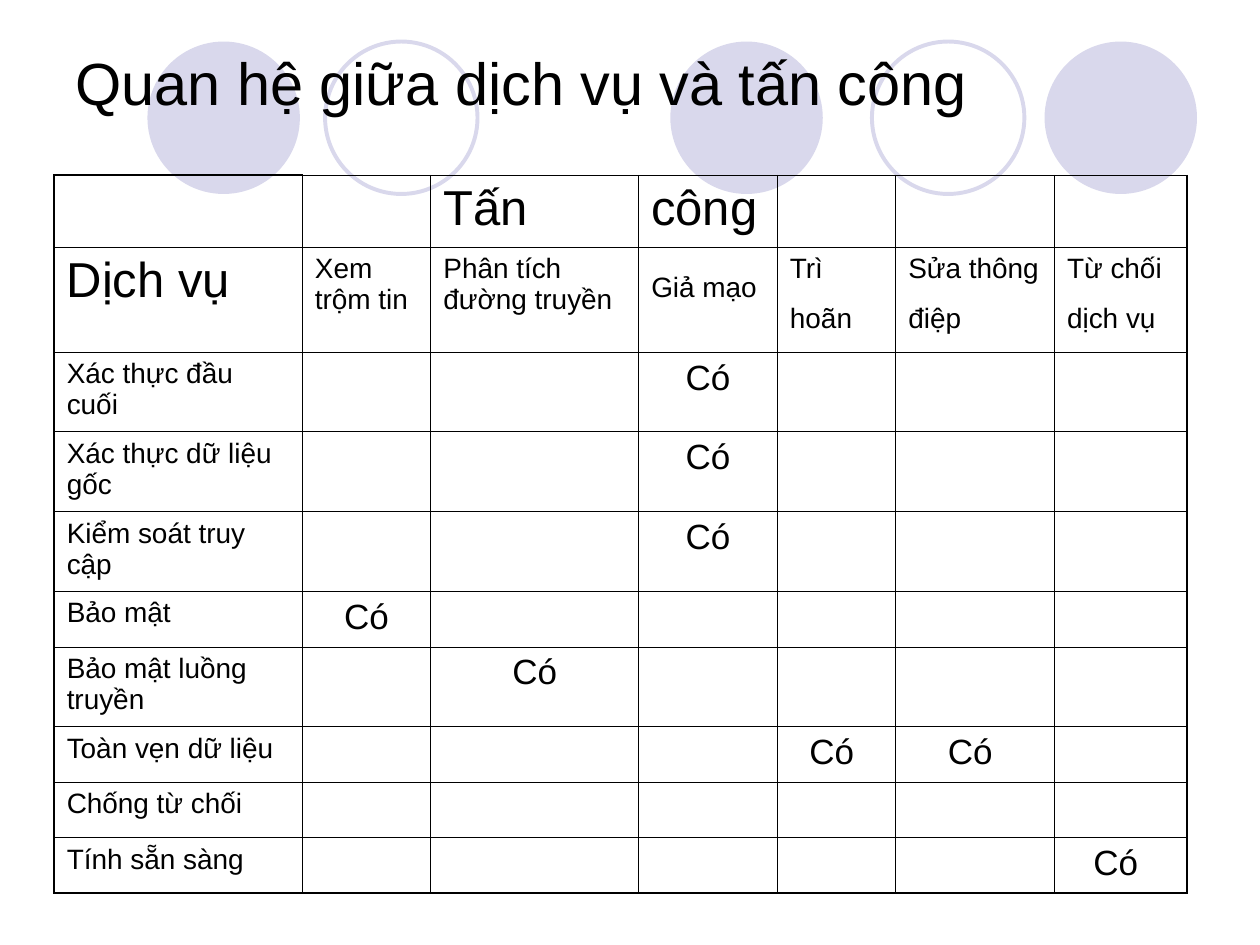
from dataclasses import dataclass
from lxml.etree import SubElement
from pptx import Presentation
from pptx.dml.color import RGBColor
from pptx.enum.shapes import MSO_SHAPE
from pptx.enum.text import MSO_ANCHOR, PP_ALIGN
from pptx.oxml.ns import qn
from pptx.util import Inches, Pt


@dataclass(frozen=True)
class Theme:
    font: str = "Arial"
    ink: str = "000000"
    lilac: str = "D9D8EC"
    title: int = 34
    head: int = 28
    mark: int = 20
    body: int = 16
    ring: float = 2.25
    thin: float = 0.45
    thick: float = 1.08


@dataclass(frozen=True)
class Disc:
    left: float
    solid: bool


@dataclass(frozen=True)
class Run:
    text: str
    size: int


@dataclass(frozen=True)
class Entry:
    row: int
    col: int
    runs: tuple[Run, ...]
    before: int
    center: bool = False


THEME = Theme()
DISCS = [Disc(5.32, True), Disc(8.29, True), Disc(1.17, True),
         Disc(6.92, False), Disc(2.58, False)]
COLS = [1.97, 1.02, 1.65, 1.1, 0.94, 1.26, 1.05]
ROWS = [0.57, 0.83, 0.63, 0.63, 0.63, 0.44, 0.63, 0.44, 0.44, 0.44]
HEADS = [(0, 2, "Tấn"), (0, 3, "công"), (1, 0, "Dịch vụ")]
SHORT = ["Xem trộm tin", "Phân tích đường truyền"]
TALL = ["Giả mạo", "Trì hoãn", "Sửa thông điệp", "Từ chối dịch vụ"]
NAMES = ["Xác thực đầu cuối", "Xác thực dữ liệu gốc", "Kiểm soát truy cập",
         "Bảo mật", "Bảo mật luồng truyền", "Toàn vẹn dữ liệu",
         "Chống từ chối", "Tính sẵn sàng"]
MARKS = [(2, 3, "Có"), (3, 3, "Có"), (4, 3, "Có"), (5, 1, "Có"),
         (6, 2, "Có"), (7, 4, "Có "), (7, 5, "Có "), (9, 6, "Có ")]


def entries() -> list[Entry]:
    body, head, mark = THEME.body, THEME.head, THEME.mark
    return (
        [Entry(r, c, (Run(t, head),), 7) for r, c, t in HEADS]
        + [Entry(1, c, (Run(t, body),), 4) for c, t in enumerate(SHORT, 1)]
        + [Entry(1, c, (Run(t, body), Run(" ", head)), 7)
           for c, t in enumerate(TALL, 3)]
        + [Entry(r, 0, (Run(t, body),), 4) for r, t in enumerate(NAMES, 2)]
        + [Entry(r, c, (Run(t, mark),), 5, True) for r, c, t in MARKS]
    )


def write(para, run: Run) -> None:
    part = para.add_run()
    part.text = run.text
    part.font.name = THEME.font
    part.font.size = Pt(run.size)
    part.font.color.rgb = RGBColor.from_string(THEME.ink)


def draw_disc(slide, disc: Disc) -> None:
    shape = slide.shapes.add_shape(MSO_SHAPE.OVAL, Inches(disc.left),
                                   Inches(0.33), Inches(1.21), Inches(1.21))
    shape.shadow.inherit = False
    color = RGBColor.from_string(THEME.lilac)
    if disc.solid:
        shape.fill.solid()
        shape.fill.fore_color.rgb = color
        shape.line.fill.background()
    else:
        shape.fill.background()
        shape.line.color.rgb = color
        shape.line.width = Pt(THEME.ring)


def draw_title(slide, text: str) -> None:
    box = slide.shapes.add_textbox(Inches(0.5), Inches(0.3), Inches(9), Inches(0.69))
    frame = box.text_frame
    frame.word_wrap = True
    frame.vertical_anchor = MSO_ANCHOR.MIDDLE
    write(frame.paragraphs[0], Run(text, THEME.title))


def rule_cell(cell, row: int, col: int) -> None:
    props = cell._tc.get_or_add_tcPr()
    edges = {"lnL": col == 0, "lnR": col == len(COLS) - 1,
             "lnT": row == col == 0, "lnB": row == len(ROWS) - 1}
    for tag, outer in edges.items():
        width = Pt(THEME.thick if outer else THEME.thin)
        line = SubElement(props, qn(f"a:{tag}"), w=str(int(width)))
        fill = SubElement(line, qn("a:solidFill"))
        SubElement(fill, qn("a:srgbClr"), val=THEME.ink)
    cell.fill.background()


def draw_grid(slide) -> None:
    frame = slide.shapes.add_table(len(ROWS), len(COLS), Inches(0.43), Inches(1.39),
                                   Inches(sum(COLS)), Inches(sum(ROWS)))
    table = frame.table
    table.first_row = False
    table.horz_banding = False
    for col, width in zip(table.columns, COLS):
        col.width = Inches(width)
    for row, height in zip(table.rows, ROWS):
        row.height = Inches(height)
    for r in range(len(ROWS)):
        for c in range(len(COLS)):
            rule_cell(table.cell(r, c), r, c)
    for entry in entries():
        para = table.cell(entry.row, entry.col).text_frame.paragraphs[0]
        para.space_before = Pt(entry.before)
        para.alignment = PP_ALIGN.CENTER if entry.center else PP_ALIGN.LEFT
        for run in entry.runs:
            write(para, run)


def main() -> None:
    deck = Presentation()
    deck.slide_width, deck.slide_height = Inches(10), Inches(7.5)
    slide = deck.slides.add_slide(deck.slide_layouts[6])
    for disc in DISCS:
        draw_disc(slide, disc)
    draw_title(slide, "Quan hệ giữa dịch vụ và tấn công")
    draw_grid(slide)
    deck.save("out.pptx")


if __name__ == "__main__":
    main()
